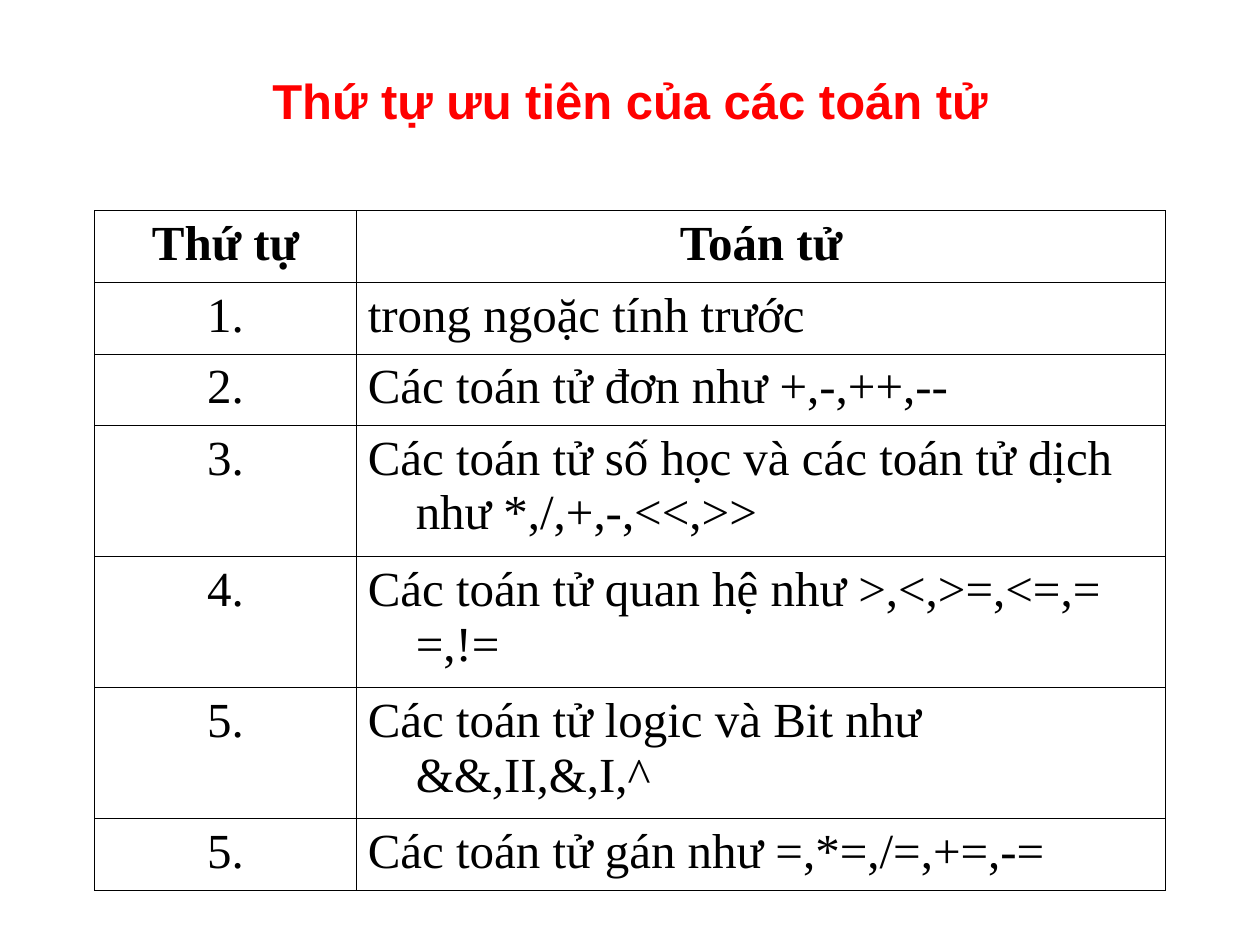
"""Build a slide with a table of operator precedence."""
import pptx
import pptx.dml.color
import pptx.enum.text
import pptx.oxml
import pptx.oxml.ns
import pptx.util

COLORS = {"title": "FF0000", "text": "000000", "border": "000000"}
ROWS = [
    ("Thứ tự", "Toán tử"),
    ("1.", "trong ngoặc tính trước"),
    ("2.", "Các toán tử đơn như +,-,++,--"),
    ("3.", "Các toán tử số học và các toán tử dịch như *,/,+,-,<<,>>"),
    ("4.", "Các toán tử quan hệ như >,<,>=,<=,= =,!="),
    ("5.", "Các toán tử logic và Bit như &&,II,&,I,^"),
    ("5.", "Các toán tử gán như =,*=,/=,+=,-="),
]
COLUMN_WIDTHS = [2.08, 6.42]
SINGLE_ROW, DOUBLE_ROW = 0.57, 1.04
ROW_HEIGHTS = [SINGLE_ROW] * 3 + [DOUBLE_ROW] * 3 + [SINGLE_ROW]
LEFT, TITLE_TOP, TITLE_HEIGHT, TABLE_TOP = 0.75, 0.17, 1.25, 1.67
HANGING_INDENT = pptx.util.Inches(0.38)
BORDER_WIDTH = pptx.util.Pt(0.45)


def style_text(paragraph, font_name, color, bold, centered):
    paragraph.font.name = font_name
    paragraph.font.size = pptx.util.Pt(28)
    paragraph.font.bold = bold
    paragraph.font.color.rgb = pptx.dml.color.RGBColor.from_string(COLORS[color])
    alignment = pptx.enum.text.PP_ALIGN
    paragraph.alignment = alignment.CENTER if centered else alignment.LEFT


def add_borders(cell):
    properties = cell._tc.get_or_add_tcPr()
    for position, side in enumerate(("lnL", "lnR", "lnT", "lnB")):
        border = pptx.oxml.parse_xml(
            f'<a:{side} {pptx.oxml.ns.nsdecls("a")} w="{BORDER_WIDTH}"><a:solidFill>'
            f'<a:srgbClr val="{COLORS["border"]}"/></a:solidFill></a:{side}>'
        )
        properties.insert(position, border)


presentation = pptx.Presentation()
presentation.slide_width = pptx.util.Inches(10)
presentation.slide_height = pptx.util.Inches(7.5)
slide = presentation.slides.add_slide(presentation.slide_layouts[6])
left = pptx.util.Inches(LEFT)
width = pptx.util.Inches(sum(COLUMN_WIDTHS))

title = slide.shapes.add_textbox(
    left, pptx.util.Inches(TITLE_TOP), width, pptx.util.Inches(TITLE_HEIGHT)
)
title.text_frame.word_wrap = True
title.text_frame.vertical_anchor = pptx.enum.text.MSO_ANCHOR.MIDDLE
title.text_frame.text = "Thứ tự ưu tiên của các toán tử"
style_text(title.text_frame.paragraphs[0], "Arial", "title", True, True)

table = slide.shapes.add_table(
    len(ROWS), len(COLUMN_WIDTHS), left, pptx.util.Inches(TABLE_TOP),
    width, pptx.util.Inches(sum(ROW_HEIGHTS)),
).table
for column, column_width in zip(table.columns, COLUMN_WIDTHS):
    column.width = pptx.util.Inches(column_width)
for row, row_height in zip(table.rows, ROW_HEIGHTS):
    row.height = pptx.util.Inches(row_height)

for row_index, texts in enumerate(ROWS):
    for column_index, text in enumerate(texts):
        cell = table.cell(row_index, column_index)
        cell.text = text
        cell.margin_left = cell.margin_right = pptx.util.Inches(0.09)
        cell.margin_top = cell.margin_bottom = pptx.util.Inches(0.05)
        cell.fill.background()
        add_borders(cell)
        is_header = row_index == 0
        paragraph = cell.text_frame.paragraphs[0]
        style_text(paragraph, "Times New Roman", "text", is_header, is_header or column_index == 0)
        paragraph_properties = paragraph._p.get_or_add_pPr()
        paragraph_properties.set("marL", str(HANGING_INDENT))
        paragraph_properties.set("indent", str(-HANGING_INDENT))

presentation.save("out.pptx")
